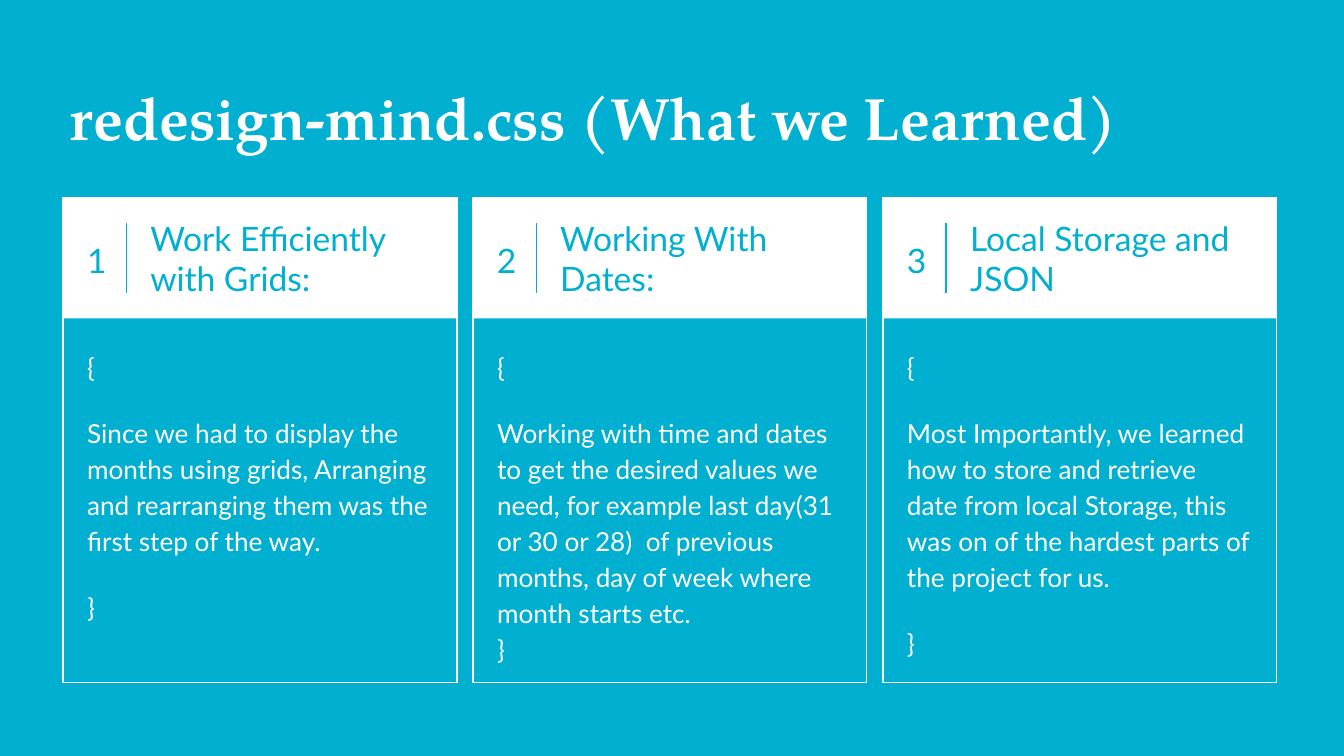
from dataclasses import dataclass

from lxml import etree
from pptx import Presentation
from pptx.dml.color import RGBColor
from pptx.enum.shapes import MSO_CONNECTOR, MSO_SHAPE
from pptx.enum.text import MSO_ANCHOR, MSO_AUTO_SIZE, PP_ALIGN
from pptx.oxml.ns import qn
from pptx.util import Inches, Pt

RECT, STRAIGHT = MSO_SHAPE.RECTANGLE, MSO_CONNECTOR.STRAIGHT
TOP, MIDDLE = MSO_ANCHOR.TOP, MSO_ANCHOR.MIDDLE
LEFT, CENTER = PP_ALIGN.LEFT, PP_ALIGN.CENTER
NO_FIT = MSO_AUTO_SIZE.NONE


@dataclass(frozen=True)
class Theme:
    blue: RGBColor = RGBColor(0x01, 0xAF, 0xD1)
    white: RGBColor = RGBColor(0xFF, 0xFF, 0xFF)
    title_font: str = "TeX Gyre Pagella"
    body_font: str = "Lato"
    title_size: int = 32
    heading_size: int = 18
    body_size: int = 14
    line: float = 0.75
    spacing: float = 1.15
    gap: int = 16


THEME = Theme()
WIDTH = 10
HEIGHT = WIDTH * 9 / 16

# Card grid, in inches
CARD_LEFT, CARD_TOP = 0.47, 1.47
CARD_W, CARD_H, GUTTER = 2.93, 3.61, 0.12
HEADER_H = 0.9

CARDS = [
    ("Work Efficiently with Grids:",
     ["{",
      "Since we had to display the months using grids, Arranging and "
      "rearranging them was the first step of the way.",
      "}"]),
    ("Working With Dates:",
     ["{",
      "Working with time and dates to get the desired values we need, for "
      "example last day(31 or 30 or 28)  of previous months, day of week "
      "where month starts etc. \n}"]),
    ("Local Storage and JSON",
     ["{",
      "Most Importantly, we learned how to store and retrieve date from "
      "local Storage, this was on of the hardest parts of the project for us.",
      "}"]),
]


def inches(*lengths):
    return [Inches(length) for length in lengths]


def set_frame(tf, anchor):
    tf.word_wrap = True
    tf.auto_size = NO_FIT
    tf.vertical_anchor = anchor
    tf.margin_left = tf.margin_right = Inches(0.1)
    tf.margin_top = tf.margin_bottom = Inches(0.1)


def set_font(p, name, size, color, bold=False):
    p.font.name, p.font.size, p.font.bold = name, Pt(size), bold
    p.font.color.rgb = color


def add_text(s, box, paragraphs, size, color, anchor=TOP, align=LEFT,
             spacing=THEME.spacing):
    tf = s.shapes.add_textbox(*inches(*box)).text_frame
    set_frame(tf, anchor)
    for i, text in enumerate(paragraphs):
        p = tf.add_paragraph() if i else tf.paragraphs[0]
        p.text = text
        p.alignment, p.line_spacing = align, spacing
        p.space_before = Pt(THEME.gap if i else 0)
        set_font(p, THEME.body_font, size, color)


def add_rect(s, box, filled):
    sp = s.shapes.add_shape(RECT, *inches(*box))
    sp.shadow.inherit = False
    if filled:
        sp.fill.solid()
        sp.fill.fore_color.rgb = THEME.white
        sp.line.fill.background()
    else:
        sp.fill.background()
        sp.line.color.rgb = THEME.white
        sp.line.width = Pt(THEME.line)


def add_divider(s, x, top, bottom):
    line = s.shapes.add_connector(STRAIGHT, *inches(x, top, x, bottom))
    line.line.color.rgb = THEME.blue
    line.line.width = Pt(THEME.line)
    etree.SubElement(line._element.spPr, qn("a:effectLst"))


def add_title(s, box, text):
    title = s.shapes.title
    title.left, title.top, title.width, title.height = inches(*box)
    set_frame(title.text_frame, TOP)
    p = title.text_frame.paragraphs[0]
    p.text, p.alignment = text, LEFT
    set_font(p, THEME.title_font, THEME.title_size, THEME.white, bold=True)


def add_card(s, box, number, heading, body):
    x, y, w, h = box
    # Outline and header band
    add_rect(s, box, filled=False)
    add_rect(s, (x, y, w, HEADER_H), filled=True)
    # Number, divider and heading
    add_text(s, (x + 0.06, y - 0.01, 0.38, HEADER_H), [str(number)],
             THEME.heading_size, THEME.blue, MIDDLE, CENTER)
    add_divider(s, x + 0.47, y + 0.19, y + 0.71)
    add_text(s, (x + 0.55, y, 2.3, HEADER_H), [heading],
             THEME.heading_size, THEME.blue, MIDDLE, spacing=1.0)
    # Body
    body_top = HEADER_H + 0.11
    add_text(s, (x + 0.08, y + body_top, 2.77, h - body_top), body,
             THEME.body_size, THEME.white)


def main():
    prs = Presentation()
    prs.slide_width, prs.slide_height = inches(WIDTH, HEIGHT)
    s = prs.slides.add_slide(prs.slide_layouts[5])
    s.background.fill.solid()
    s.background.fill.fore_color.rgb = THEME.blue

    add_title(s, (0.42, 0.5, 9.15, 0.75), "redesign-mind.css (What we Learned)")
    for i, (heading, body) in enumerate(CARDS):
        x = CARD_LEFT + i * (CARD_W + GUTTER)
        add_card(s, (x, CARD_TOP, CARD_W, CARD_H), i + 1, heading, body)

    prs.save("out.pptx")


if __name__ == "__main__":
    main()
